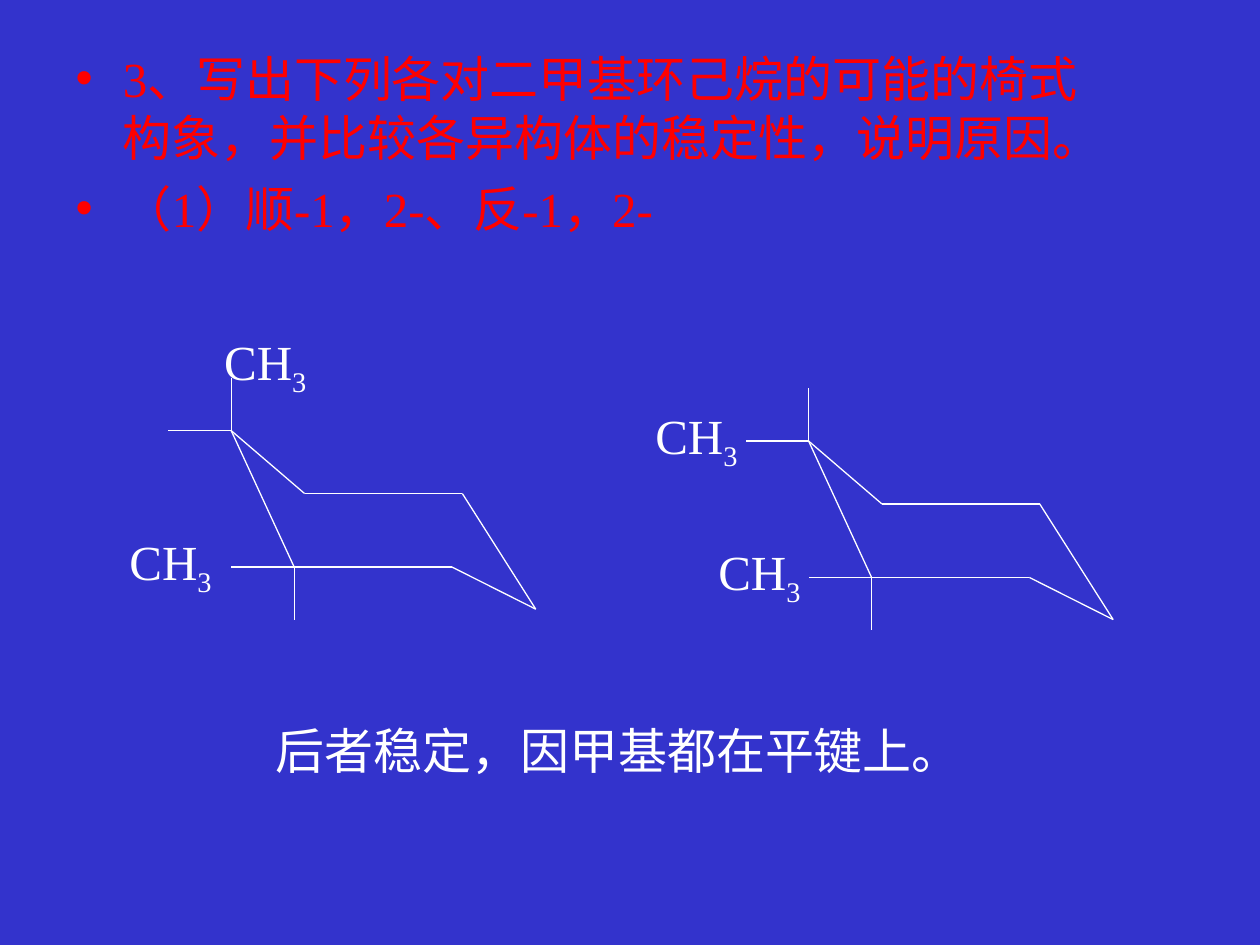
from dataclasses import dataclass

from lxml.etree import SubElement
from pptx import Presentation
from pptx.dml.color import RGBColor
from pptx.enum.shapes import MSO_CONNECTOR
from pptx.enum.text import MSO_AUTO_SIZE
from pptx.oxml.ns import qn
from pptx.util import Cm, Pt


@dataclass(frozen=True)
class Theme:
    """Colours, font and sizes of the slide."""
    background: RGBColor = RGBColor(0x33, 0x33, 0xCC)
    question: RGBColor = RGBColor(0xFF, 0x00, 0x00)
    ink: RGBColor = RGBColor(0xFF, 0xFF, 0xFF)
    font: str = "Times New Roman"
    text_size: Pt = Pt(28)
    bullet_gap: Pt = Pt(7)
    bond_width: Pt = Pt(0.75)


QUESTION = [
    "3、写出下列各对二甲基环己烷的可能的椅式构象，并比较各异构体的稳定性，说明原因。",
    "（1）顺-1，2-、反-1，2-",
]
ANSWER = "后者稳定，因甲基都在平键上。"

RING = [(0, 0), (1.48, 1.27), (4.66, 1.27), (6.14, 3.6), (4.45, 2.75), (1.27, 2.75)]
SUBSTITUENT_BONDS = [
    (RING[0], (-1.27, 0)),
    (RING[0], (0, -1.06)),
    (RING[5], (0, 2.75)),
    (RING[5], (1.27, 3.81)),
]
CHAIRS = [
    ((4.66, 8.68), [(-0.39, -2.12), (-2.3, 1.9)]),
    ((16.3, 8.89), [(-3.34, -0.85), (-2.07, 1.9)]),
]


class Painter:
    """Draws styled elements on the current slide."""

    def __init__(self, page, theme):
        """Keep the page and theme and paint the background."""
        self.page = page
        self.theme = theme
        fill = page.background.fill
        fill.solid()
        fill.fore_color.rgb = theme.background

    def style(self, span, color):
        """Apply the common font to a run."""
        span.font.name = self.theme.font
        span.font.size = self.theme.text_size
        span.font.color.rgb = color

    def question(self, lines, left, top, width, height):
        """Fill the body placeholder with bulleted lines."""
        box = self.page.placeholders[1]
        box.left, box.top, box.width, box.height = map(Cm, (left, top, width, height))
        frame = box.text_frame
        frame.text = "\n".join(lines)
        frame.auto_size = MSO_AUTO_SIZE.NONE
        for index, para in enumerate(frame.paragraphs):
            para.space_before = self.theme.bullet_gap if index else Pt(0)
            self.style(para.runs[0], self.theme.question)

    def text(self, words, left, top, width, height):
        """Add an unwrapped text box and return its paragraph."""
        box = self.page.shapes.add_textbox(*map(Cm, (left, top, width, height)))
        frame = box.text_frame
        frame.text = words
        frame.word_wrap = False
        frame.auto_size = MSO_AUTO_SIZE.SHAPE_TO_FIT_TEXT
        para = frame.paragraphs[0]
        self.style(para.runs[0], self.theme.ink)
        return para

    def methyl(self, left, top):
        """Add a methyl label with its subscript."""
        para = self.text("CH", left, top, 2.16, 1.6)
        span = para.add_run()
        span.text = "3"
        self.style(span, self.theme.ink)
        span.font._element.set("baseline", "-25000")

    def bond(self, start, end):
        """Add a thin straight bond."""
        line = self.page.shapes.add_connector(
            MSO_CONNECTOR.STRAIGHT, *map(Cm, (*start, *end)))
        line.line.color.rgb = self.theme.ink
        line.line.width = self.theme.bond_width
        SubElement(line.element.spPr, qn("a:effectLst"))

    def chair(self, origin, methyls):
        """Draw a chair ring with its substituents from its first carbon."""
        def place(point):
            """Shift a point by the origin."""
            return origin[0] + point[0], origin[1] + point[1]

        ring_bonds = list(zip(RING, RING[1:] + RING[:1]))
        for start, end in ring_bonds + SUBSTITUENT_BONDS:
            self.bond(place(start), place(end))
        for point in methyls:
            self.methyl(*place(point))


def main():
    """Build and save the deck."""
    deck = Presentation()
    deck.slide_width, deck.slide_height = Cm(25.4), Cm(19.05)
    page = deck.slides.add_slide(deck.slide_layouts.get_by_name("Title and Content"))
    title = page.shapes.title.element
    title.getparent().remove(title)
    painter = Painter(page, Theme())
    painter.question(QUESTION, 1.27, 0.85, 21.59, 4.45)
    for origin, methyls in CHAIRS:
        painter.chair(origin, methyls)
    painter.text(ANSWER, 5.31, 14.4, 14.3, 1.45)
    deck.save("out.pptx")


if __name__ == "__main__":
    main()
